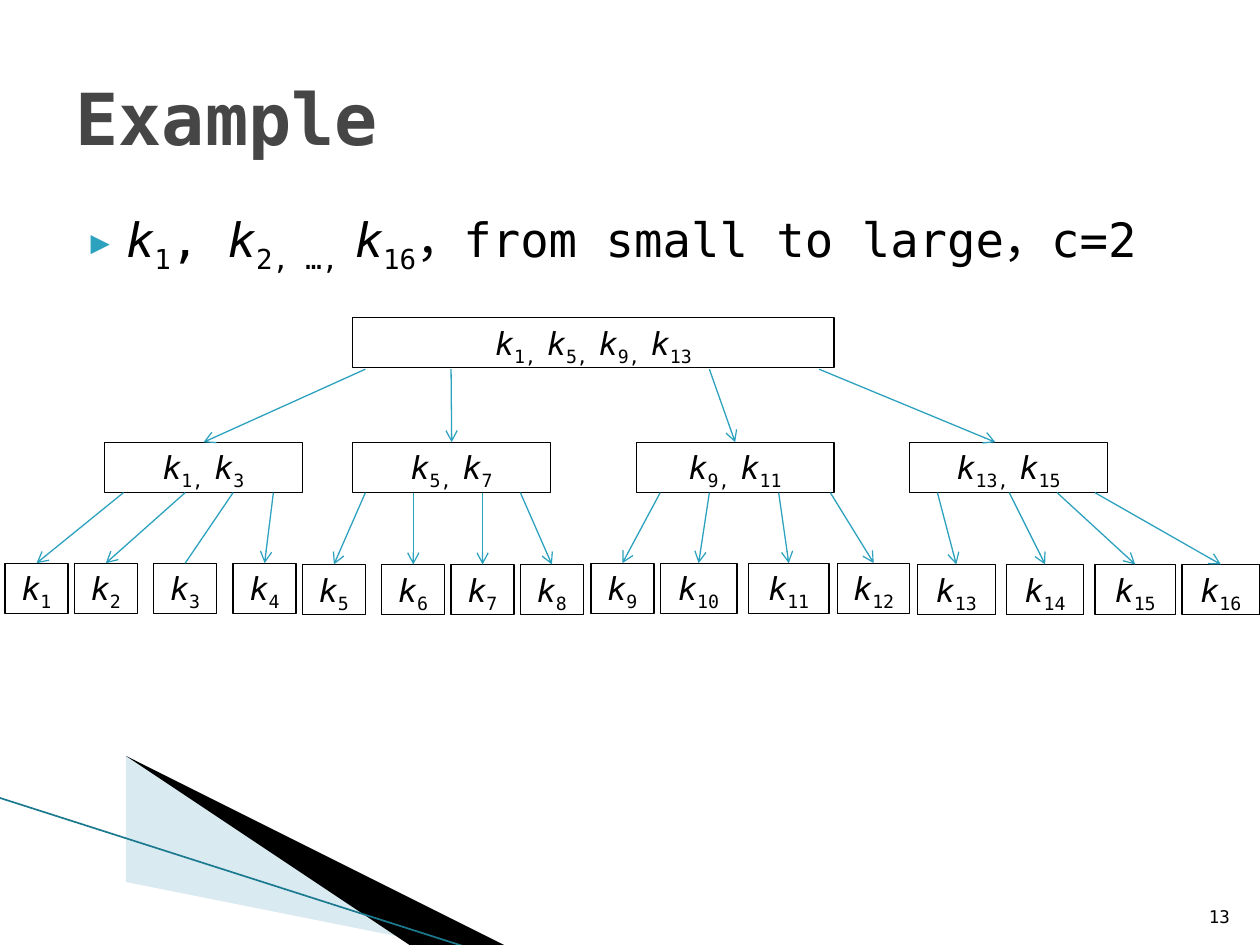
from lxml import etree
from pptx import Presentation
from pptx.dml.color import RGBColor
from pptx.enum.shapes import MSO_CONNECTOR, MSO_SHAPE
from pptx.enum.text import MSO_ANCHOR, MSO_AUTO_SIZE, PP_ALIGN
from pptx.oxml.ns import qn
from pptx.util import Inches, Pt

STRAIGHT = MSO_CONNECTOR.STRAIGHT
RECTANGLE = MSO_SHAPE.RECTANGLE
TOP, MIDDLE, BOTTOM = MSO_ANCHOR.TOP, MSO_ANCHOR.MIDDLE, MSO_ANCHOR.BOTTOM
NO_FIT = MSO_AUTO_SIZE.NONE
LEFT, CENTER, RIGHT = PP_ALIGN.LEFT, PP_ALIGN.CENTER, PP_ALIGN.RIGHT

FONT = "DejaVu Sans Mono"
BLACK = RGBColor(0x00, 0x00, 0x00)
GRAY = RGBColor(0x46, 0x46, 0x46)
TEAL = RGBColor(0x2D, 0xA2, 0xBF)
DARK_TEAL = RGBColor(0x1B, 0x7A, 0x90)
PALE_BLUE = RGBColor(0xA0, 0xCB, 0xDC)

NODE_HEIGHT = 0.4
BRANCH_WIDTH = 1.57
ROOT_TOP, ROOT_BOTTOM = 2.52, 2.93
BRANCH_TOP, BRANCH_BOTTOM = 3.51, 3.91
LAST_BRANCH_TIP = 7.9
LEAF_WITHOUT_ARROW = 3

# Branch: left, label, start of its arrow, top of its leaves.
# Leaf: left, width, start of its arrow.
TREE = [
    ((0.83, "k|_1, |k|_3", 2.9, 4.47),
     [(0.04, 0.5, 0.98), (0.59, 0.5, 1.47), (1.22, 0.5, 1.85), (1.85, 0.5, 2.17)]),
    ((2.8, "k|_5, |k|_7", 3.58, 4.48),
     [(2.4, 0.5, 2.9), (3.03, 0.5, 3.28), (3.58, 0.5, 3.83), (4.13, 0.5, 4.13)]),
    ((5.05, "k|_9, |k|_11", 5.63, 4.47),
     [(4.69, 0.5, 5.24), (5.24, 0.61, 5.63), (5.94, 0.64, 6.18), (6.65, 0.57, 6.59)]),
    ((7.22, "k|_13, |k|_15", 6.5, 4.48),
     [(7.28, 0.62, 7.44), (7.99, 0.61, 8.01), (8.69, 0.64, 8.39), (9.38, 0.62, 8.69)]),
]


def place(shape, left, top, width, height):
    shape.left, shape.top = Inches(left), Inches(top)
    shape.width, shape.height = Inches(width), Inches(height)


def format_font(font, size, color, bold=False):
    font.name = FONT
    font.size = Pt(size)
    font.color.rgb = color
    font.bold = bold


def add_terms(para, markup, size):
    for piece in markup.split("|"):
        span = para.add_run()
        span.text = piece.removeprefix("_")
        format_font(span.font, size, BLACK)
        span.font.italic = piece == "k"
        if piece.startswith("_"):
            span.font._element.set("baseline", "-25000")


def add_bullet(para):
    properties = para._p.get_or_add_pPr()
    properties.set("marL", str(Inches(0.4)))
    properties.set("indent", str(Inches(-0.28)))
    color = etree.SubElement(properties, qn("a:buClr"))
    etree.SubElement(color, qn("a:srgbClr"), val=str(TEAL))
    etree.SubElement(properties, qn("a:buSzPct"), val="68000")
    etree.SubElement(properties, qn("a:buFont"), typeface=FONT)
    etree.SubElement(properties, qn("a:buChar"), char="▶")


def add_wedge(slide, points, color, opacity=None):
    builder = slide.shapes.build_freeform(*points[0], scale=Inches(1))
    builder.add_line_segments(points[1:])
    wedge = builder.convert_to_shape()
    wedge.shadow.inherit = False
    wedge.line.fill.background()
    wedge.fill.solid()
    wedge.fill.fore_color.rgb = color
    if opacity:
        fill_color = wedge._element.spPr.find(".//" + qn("a:srgbClr"))
        etree.SubElement(fill_color, qn("a:alpha"), val=str(opacity * 1000))


def add_line(slide, start, end, color, width=0.75, arrow=False):
    line = slide.shapes.add_connector(STRAIGHT, *map(Inches, start + end))
    line.line.color.rgb = color
    line.line.width = Pt(width)
    if arrow:
        etree.SubElement(line.line._get_or_add_ln(), qn("a:tailEnd"), type="arrow")
    etree.SubElement(line._element.spPr, qn("a:effectLst"))
    return line


def add_node(slide, left, top, width, markup):
    box = slide.shapes.add_shape(
        RECTANGLE, *map(Inches, (left, top, width, NODE_HEIGHT)))
    box.shadow.inherit = False
    box.fill.background()
    box.line.color.rgb = BLACK
    box.line.width = Pt(0.75)
    frame = box.text_frame
    frame.word_wrap = True
    frame.vertical_anchor = TOP
    para = frame.paragraphs[0]
    para.alignment = CENTER
    add_terms(para, markup, 18)
    return box


def add_heading(slide):
    title = slide.shapes.title
    place(title, 0.5, 0.3, 9, 1.25)
    title.text_frame.text = "Example"
    title.text_frame.vertical_anchor = MIDDLE
    para = title.text_frame.paragraphs[0]
    para.alignment = LEFT
    format_font(para.runs[0].font, 41, GRAY, bold=True)


def add_body(slide):
    body = slide.placeholders[1]
    place(body, 0.5, 1.62, 9, 4.95)
    body.text_frame.auto_size = NO_FIT
    para = body.text_frame.paragraphs[0]
    add_bullet(para)
    para.space_before = Pt(0)
    add_terms(para, "k|_1|, |k|_2, …, |k|_16|，from small to large，c=2", 27)


def add_tree(slide):
    add_node(slide, 2.8, ROOT_TOP, 3.82, "k|_1, |k|_5, |k|_9, |k|_13")
    number = 0
    for (left, label, start, leaf_top), leaves in TREE:
        branch = add_node(slide, left, BRANCH_TOP, BRANCH_WIDTH, label)
        arrow = add_line(slide, (start, ROOT_BOTTOM),
                         (LAST_BRANCH_TIP, BRANCH_TOP), TEAL, arrow=True)
        if left < LAST_BRANCH_TIP - BRANCH_WIDTH / 2:
            arrow.end_connect(branch, 0)
        for leaf_left, width, leaf_start in leaves:
            number += 1
            leaf = add_node(slide, leaf_left, leaf_top, width, f"k|_{number}")
            arrow = add_line(slide, (leaf_start, BRANCH_BOTTOM),
                             (leaf_left + width / 2, leaf_top), TEAL,
                             arrow=number != LEAF_WITHOUT_ARROW)
            arrow.end_connect(leaf, 0)


def add_page_number(slide):
    box = slide.shapes.add_textbox(*map(Inches, (9.46, 7.01, 0.4, 0.4)))
    frame = box.text_frame
    frame.word_wrap = True
    frame.vertical_anchor = BOTTOM
    frame.text = "13"
    para = frame.paragraphs[0]
    para.alignment = RIGHT
    format_font(para.runs[0].font, 10, BLACK)


def main():
    deck = Presentation()
    deck.slide_width, deck.slide_height = Inches(10), Inches(7.5)
    slide = deck.slides.add_slide(deck.slide_layouts[1])
    add_wedge(slide, [(0.55, 6.51), (5.95, 7.51), (4.56, 7.51), (0.55, 6.5)],
              PALE_BLUE, opacity=40)
    add_wedge(slide, [(0.53, 6.49), (4.57, 7.51), (3.72, 7.52), (0.54, 6.5)], BLACK)
    add_line(slide, (-0.01, 6.33), (3.71, 7.52), DARK_TEAL, width=0.95)
    add_heading(slide)
    add_body(slide)
    add_tree(slide)
    add_page_number(slide)
    deck.save("out.pptx")


if __name__ == "__main__":
    main()
